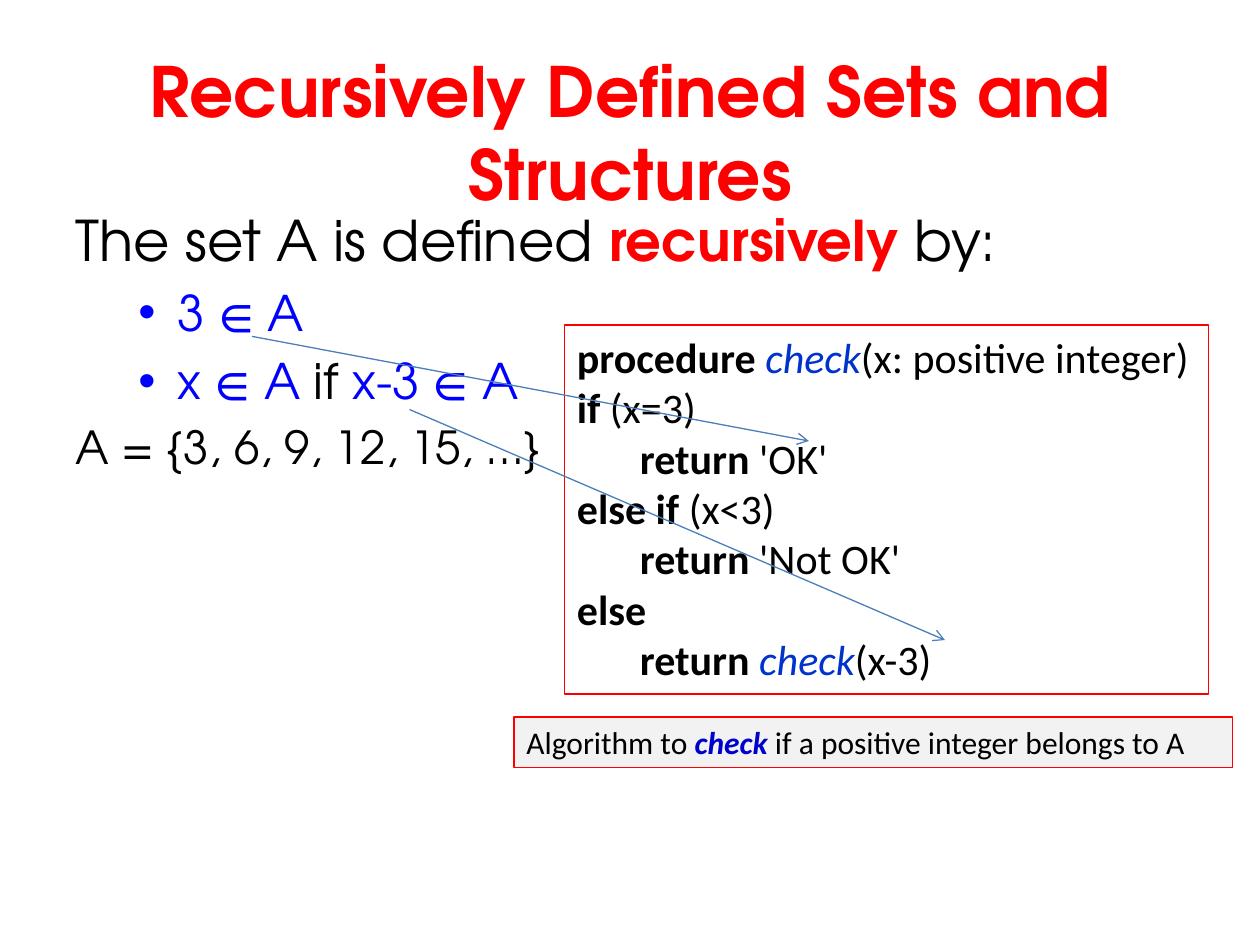
from lxml import etree
from pptx import Presentation, util as u
from pptx.dml.color import RGBColor
from pptx.enum import shapes, text
from pptx.oxml.ns import qn

HEAD, BODY = "TeX Gyre Adventor", "Calibri"
RED, BLACK, BLUE = "FF0000", "000000", "0000FF"
CALL, NAME, ARROW, GREY = "0033CC", "0000CC", "4B7EBC", "F2F2F2"


def rgb(value):
    return RGBColor.from_string(value)


class Deck:
    def __init__(self, width, height):
        self.prs = Presentation()
        self.prs.slide_width = u.Inches(width)
        self.prs.slide_height = u.Inches(height)
        self.slide = self.prs.slides.add_slide(self.prs.slide_layouts[5])

    def place(self, sp, box):
        sp.left, sp.top, sp.width, sp.height = map(u.Inches, box)

    def add_runs(self, p, runs, font, size):
        """Each run is (text, colour, style), style holding b and/or i."""
        for words, color, style in runs:
            r = p.add_run()
            r.text = words
            r.font.name, r.font.size = font, u.Pt(size)
            r.font.bold, r.font.italic = "b" in style, "i" in style
            r.font.color.rgb = rgb(color)

    def title(self, box, words, size):
        sp = self.slide.shapes.title
        self.place(sp, box)
        tf = sp.text_frame
        tf.word_wrap = True
        tf.auto_size = text.MSO_AUTO_SIZE.NONE
        tf.vertical_anchor = text.MSO_ANCHOR.MIDDLE
        p = tf.paragraphs[0]
        p.alignment = text.PP_ALIGN.CENTER
        self.add_runs(p, [(words, RED, "b")], HEAD, size)

    def body(self, box, paragraphs):
        """Each paragraph is (size, bulleted, runs)."""
        tf = self.slide.shapes.add_textbox(*map(u.Inches, box)).text_frame
        tf.word_wrap = True
        for n, (size, bulleted, runs) in enumerate(paragraphs):
            p = tf.add_paragraph() if n else tf.paragraphs[0]
            if n:
                p.space_before = u.Pt(0.2 * size)
            if bulleted:
                p.level = 1
                pPr = p._p.get_or_add_pPr()
                pPr.set("marL", str(u.Inches(0.81)))
                pPr.set("indent", str(u.Inches(-0.31)))
                etree.SubElement(pPr, qn("a:buFont")).set("typeface", "Arial")
                etree.SubElement(pPr, qn("a:buChar")).set("char", "•")
            self.add_runs(p, runs, HEAD, size)

    def panel(self, box, lines, size, fill=None):
        sp = self.slide.shapes.add_shape(shapes.MSO_SHAPE.RECTANGLE, *map(u.Inches, box))
        sp.shadow.inherit = False
        if fill:
            sp.fill.solid()
            sp.fill.fore_color.rgb = rgb(fill)
        else:
            sp.fill.background()
        sp.line.color.rgb = rgb(RED)
        sp.line.width = u.Pt(0.75)
        tf = sp.text_frame
        tf.word_wrap = False
        tf.auto_size = text.MSO_AUTO_SIZE.SHAPE_TO_FIT_TEXT
        tf.vertical_anchor = text.MSO_ANCHOR.TOP
        for n, runs in enumerate(lines):
            p = tf.add_paragraph() if n else tf.paragraphs[0]
            p.alignment = text.PP_ALIGN.LEFT
            self.add_runs(p, runs, BODY, size)

    def arrow(self, start, end):
        cx = self.slide.shapes.add_connector(
            shapes.MSO_CONNECTOR.STRAIGHT, *map(u.Inches, start + end))
        cx.line.color.rgb = rgb(ARROW)
        cx.line.width = u.Pt(0.75)
        spPr = cx._element.spPr
        etree.SubElement(spPr.find(qn("a:ln")), qn("a:tailEnd")).set("type", "arrow")
        etree.SubElement(spPr, qn("a:effectLst"))


def main():
    deck = Deck(10, 7.5)
    deck.title((0.5, 0.42, 9, 1.25), "Recursively Defined Sets and Structures", 39.6)

    # Definition of the set
    deck.body((0.5, 1.58, 9, 4.95), [
        (32, False, [("The set A is defined ", BLACK, ""), ("recursively", RED, "b"),
                     (" by:", BLACK, "")]),
        (28, True, [("3 ∈ A", BLUE, "")]),
        (28, True, [("x ∈ A ", BLUE, ""), ("if ", BLACK, ""), ("x-3 ∈ A", BLUE, "")]),
        (26, False, [("A = {3, 6, 9, 12, 15, …}", BLACK, "")]),
    ])

    # Procedure
    tab, ret = ("\t", BLACK, ""), ("return ", BLACK, "b")
    check = ("check", CALL, "i")
    deck.panel((4.48, 2.58, 5.11, 2.93), [
        [("procedure ", BLACK, "b"), check, ("(x: positive integer)", BLACK, "")],
        [("if", BLACK, "b"), (" (x=3)", BLACK, "")],
        [tab, ret, ("'OK'", BLACK, "")],
        [("else if", BLACK, "b"), (" (x<3)", BLACK, "")],
        [tab, ret, ("'Not OK'", BLACK, "")],
        [("else", BLACK, "b")],
        [tab, ret, check, ("(x-3)", BLACK, "")],
    ], 24)

    # Arrows from each rule to its return line
    deck.arrow((3.25, 3.25), (7.5, 5.08))
    deck.arrow((2, 2.67), (6.42, 3.5))

    # Caption
    deck.panel((4.08, 5.69, 5.7, 0.4), [
        [("Algorithm to ", BLACK, ""), ("check", NAME, "bi"),
         (" if a positive integer belongs to A", BLACK, "")],
    ], 18, GREY)

    deck.prs.save("out.pptx")


if __name__ == "__main__":
    main()
